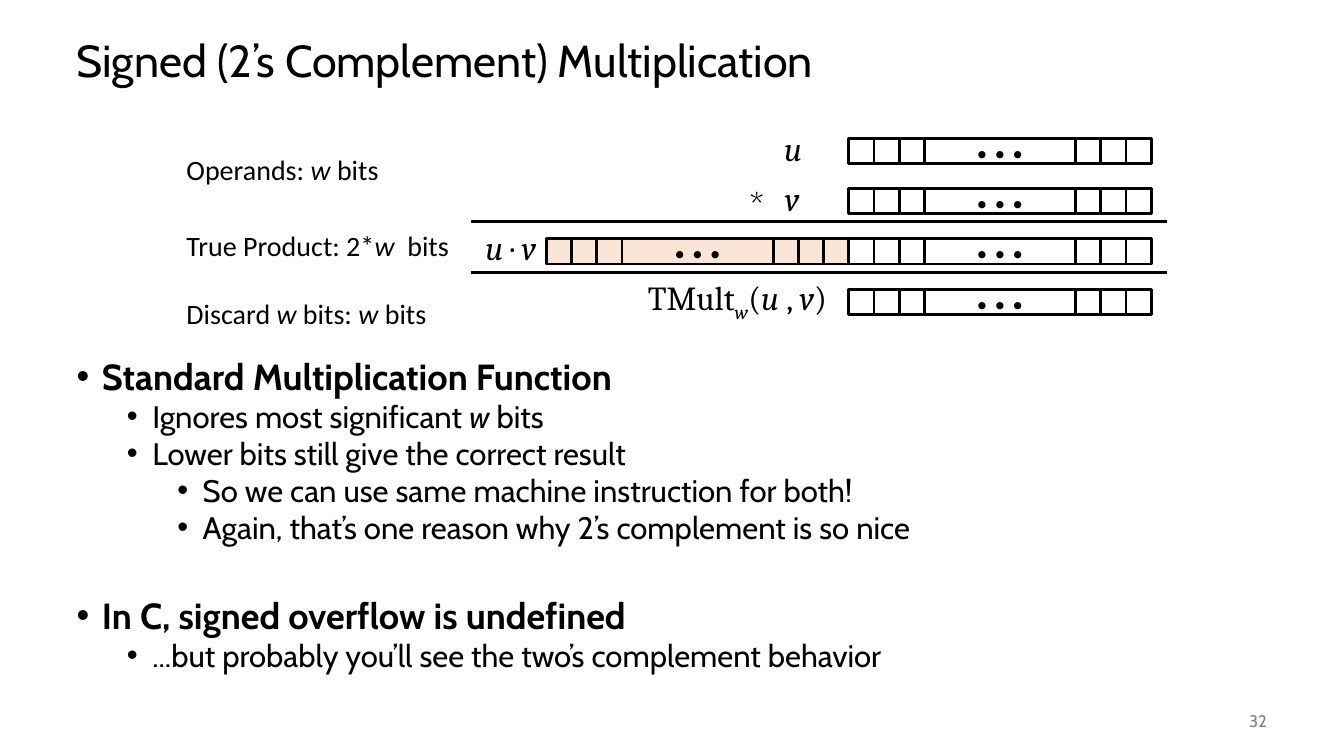
from lxml import etree
from pptx import Presentation, util as u
from pptx.dml.color import RGBColor
from pptx.enum import shapes, text
from pptx.oxml.ns import qn

BLACK, WHITE, PEACH, GREY = "000000", "FFFFFF", "FBE5D6", "808080"
LEFT, CENTER, RIGHT = text.PP_ALIGN.LEFT, text.PP_ALIGN.CENTER, text.PP_ALIGN.RIGHT
TITLE = "Signed (2’s Complement) Multiplication"
PAGE = "32"
DOTS = "• • •"

# "_" switches italics on and off; "~" before an italic run makes it a subscript.
LABELS = [
    ("Operands: _w_ bits", 3.73, 5.41),
    ("True Product: 2*_w_  bits", 5.64, 7.19),
    ("Discard _w_ bits: _w_ bits", 7.34, 6.78),
]
TERMS = [
    ("_u_", 19.51, 3.1, 0.94, LEFT, "Cambria"),
    ("_v_", 19.53, 4.37, 0.89, LEFT, "Cambria"),
    ("*", 18.64, 4.52, 0.99, LEFT, "Cabin"),
    ("_u _· _v_", 11.73, 5.59, 2.03, RIGHT, "Cambria"),
    ("TMult_~w_(_u_ , _v_)", 15.98, 6.86, 5.11, RIGHT, "Cambria"),
]
WORDS = [(0, 0, WHITE), (0, 1, WHITE), (0, 2, WHITE), (0, 3, WHITE), (1, 2, PEACH)]
RULES = [5.59, 6.86]
BULLETS = [
    (0, "Standard Multiplication Function", 0),
    (1, "Ignores most significant _w_ bits", 5),
    (1, "Lower bits still give the correct result", 5),
    (2, "So we can use same machine instruction for both!", 5),
    (2, "Again, that’s one reason why 2’s complement is so nice", 5),
    (0, "In C, signed overflow is undefined", 40.5),
    (1, "...but probably you’ll see the two’s complement behavior", 5),
]
WORD_LEFT, WORD_TOP, WORD_W, ROW = 21.39, 3.48, 7.62, 1.27
CELL = WORD_W / 12
SPANS = [(0, 1), (1, 1), (2, 1), (9, 1), (10, 1), (11, 1), (3, 6)]


def rgb(color):
    return RGBColor.from_string(color)


def write(p, content, size, font, color=BLACK, bold=False, align=LEFT):
    p.alignment = align
    for i, part in enumerate(content.split("_")):
        if not part:
            continue
        r = p.add_run()
        r.text = part.lstrip("~")
        f = r.font
        f.size, f.name, f.bold, f.italic = u.Pt(size), font, bold, i % 2 == 1
        f.color.rgb = rgb(color)
        if part.startswith("~"):
            r._r.get_or_add_rPr().set("baseline", "-25000")


def add_text(s, box, wrap=True, anchor=text.MSO_ANCHOR.TOP):
    tf = s.shapes.add_textbox(*map(u.Cm, box)).text_frame
    tf.word_wrap, tf.vertical_anchor = wrap, anchor
    return tf


def add_word(s, left, top, fill):
    for start, span in SPANS:
        sp = s.shapes.add_shape(shapes.MSO_SHAPE.RECTANGLE, u.Cm(left + start * CELL),
                                u.Cm(top), u.Cm(span * CELL), u.Cm(CELL))
        sp.shadow.inherit = False
        sp.fill.solid()
        sp.fill.fore_color.rgb = rgb(fill)
        sp.line.color.rgb = rgb(BLACK)
        sp.line.width = u.Pt(2)
        if span > 1:
            tf = sp.text_frame
            tf.word_wrap, tf.vertical_anchor = False, text.MSO_ANCHOR.MIDDLE
            write(tf.paragraphs[0], DOTS, 24, "Cabin", align=CENTER)


def add_rule(s, y):
    line = s.shapes.add_connector(shapes.MSO_CONNECTOR.STRAIGHT,
                                  u.Cm(11.86), u.Cm(y), u.Cm(29.41), u.Cm(y))
    line.line.color.rgb = rgb(BLACK)
    line.line.width = u.Pt(2)
    etree.SubElement(line._element.spPr, qn("a:effectLst"))


def add_bullets(s):
    tf = add_text(s, (1.68, 9.02, 30.48, 8.13))
    for i, (level, content, before) in enumerate(BULLETS):
        p = tf.add_paragraph() if i else tf.paragraphs[0]
        pPr = p._p.get_or_add_pPr()
        pPr.set("marL", str(u.Cm(0.64 + 1.27 * level)))
        pPr.set("indent", str(-u.Cm(0.64)))
        etree.SubElement(pPr, qn("a:buFont")).set("typeface", "Arial")
        etree.SubElement(pPr, qn("a:buChar")).set("char", "•")
        p.level, p.line_spacing, p.space_before = level, 0.8, u.Pt(before)
        write(p, content, 22.2 if level else 25.9, "Cabin", bold=level == 0)


def main():
    """Build the signed multiplication slide."""
    prs = Presentation()
    prs.slide_width, prs.slide_height = u.Cm(33.87), u.Cm(19.05)
    s = prs.slides.add_slide(prs.slide_layouts[6])
    middle = text.MSO_ANCHOR.MIDDLE

    p = add_text(s, (1.68, 0.64, 30.48, 1.9), anchor=middle).paragraphs[0]
    p.line_spacing = 0.9
    write(p, TITLE, 32, "Cabin")
    add_bullets(s)

    for column, row, fill in WORDS:
        add_word(s, WORD_LEFT - column * WORD_W, WORD_TOP + row * ROW, fill)
    for y in RULES:
        add_rule(s, y)
    for content, left, top, width, align, font in TERMS:
        tf = add_text(s, (left, top, width, 1.27), wrap=False)
        write(tf.paragraphs[0], content, 24, font, align=align)
    for content, top, width in LABELS:
        tf = add_text(s, (4.45, top, width, 1.12), wrap=False)
        write(tf.paragraphs[0], content, 20, "Calibri")

    tf = add_text(s, (29.64, 17.65, 2.54, 1.02), anchor=middle)
    write(tf.paragraphs[0], PAGE, 12, "Cabin", GREY, align=RIGHT)
    prs.save("out.pptx")


if __name__ == "__main__":
    main()
